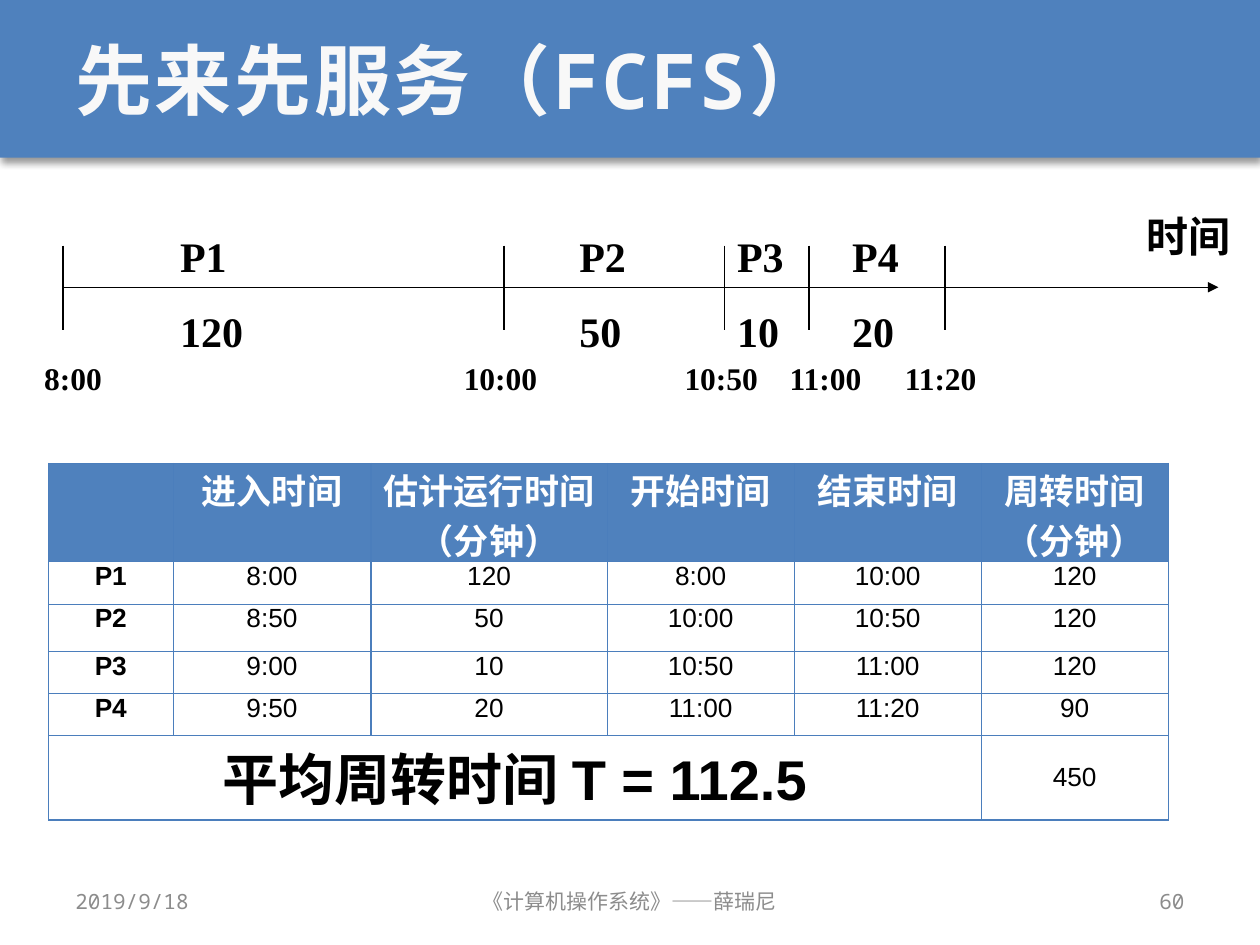
from lxml import etree
from pptx import Presentation
from pptx.dml.color import RGBColor
from pptx.enum.shapes import MSO_CONNECTOR, MSO_SHAPE
from pptx.enum.text import MSO_ANCHOR, PP_ALIGN
from pptx.oxml import parse_xml
from pptx.oxml.ns import nsdecls, qn
from pptx.util import Cm, Pt

BLUE = RGBColor(0x4F, 0x81, 0xBD)
BORDER = RGBColor(0x4B, 0x7E, 0xBC)
BLACK = RGBColor(0, 0, 0)
WHITE = RGBColor(0xFF, 0xFF, 0xFF)
TITLE_WHITE = RGBColor(0xF8, 0xF8, 0xF8)
GRAY = RGBColor(0x8C, 0x8C, 0x8C)
MONO, SERIF, SANS = "Noto Sans Mono", "Times New Roman", "Arial"

SLIDE_WIDTH, BANNER_HEIGHT = 25.4, 3.18
AXIS_Y, TICK_TOP, TICK_BOTTOM = 5.79, 4.95, 6.65
AXIS_START, AXIS_END = 1.27, 24.56
TICKS = [AXIS_START, 10.16, 14.61, 16.31, 19.05]
# Text and left edge of each time label
TIME_LABELS = [("8:00", 0.64), ("10:00", 9.1), ("10:50", 13.55),
               ("11:00", 15.67), ("11:20", 17.99)]
# Process, run time in minutes, left edge
PROCESSES = [("P1", "120", 3.38), ("P2", "50", 11.43),
             ("P3", "10", 14.61), ("P4", "20", 16.93)]

COLUMN_WIDTHS = [2.51, 3.99, 4.76, 3.77, 3.77, 3.77]
ROW_HEIGHTS = [1.98, 0.86, 0.95, 0.85, 0.85, 1.7]
ROWS = [
    ["", "进入时间", "估计运行时间\n（分钟）", "开始时间", "结束时间", "周转时间\n（分钟）"],
    ["P1", "8:00", "120", "8:00", "10:00", "120"],
    ["P2", "8:50", "50", "10:00", "10:50", "120"],
    ["P3", "9:00", "10", "10:50", "11:00", "120"],
    ["P4", "9:50", "20", "11:00", "11:20", "90"],
]


def write_text(frame, text, name, size, color, bold=False,
               align=PP_ALIGN.LEFT, gap=0):
    """Fill a text frame, one paragraph a line, with gap points between them."""
    frame.text = text
    for index, paragraph in enumerate(frame.paragraphs):
        paragraph.alignment = align
        if index and gap:
            paragraph.space_before = Pt(gap)
        font = paragraph.font
        font.name, font.size, font.bold = name, Pt(size), bold
        font.color.rgb = color


def add_text(slide, text, left, top, width, height, name, size, color,
             anchor=MSO_ANCHOR.TOP, **style):
    box = slide.shapes.add_textbox(Cm(left), Cm(top), Cm(width), Cm(height))
    frame = box.text_frame
    frame.word_wrap = True
    frame.vertical_anchor = anchor
    write_text(frame, text, name, size, color, **style)
    return box


def add_line(slide, x1, y1, x2, y2, arrow=False):
    line = slide.shapes.add_connector(
        MSO_CONNECTOR.STRAIGHT, Cm(x1), Cm(y1), Cm(x2), Cm(y2))
    line.line.color.rgb = BLACK
    line.line.width = Pt(0.75)
    if arrow:
        etree.SubElement(line.line._get_or_add_ln(), qn("a:tailEnd"), type="triangle")
    etree.SubElement(line._element.spPr, qn("a:effectLst"))


def add_banner(slide):
    banner = slide.shapes.add_shape(
        MSO_SHAPE.RECTANGLE, 0, 0, Cm(SLIDE_WIDTH), Cm(BANNER_HEIGHT))
    banner.fill.solid()
    banner.fill.fore_color.rgb = BLUE
    banner.line.fill.background()
    banner.shadow.inherit = False
    banner._element.spPr.find(qn("a:effectLst")).append(parse_xml(
        f'<a:outerShdw {nsdecls("a")} blurRad="{Pt(4)}" dist="{Pt(3)}" '
        'dir="5400000" rotWithShape="0"><a:srgbClr val="000000">'
        '<a:alpha val="40000"/></a:srgbClr></a:outerShdw>'))
    title = add_text(slide, "先来先服务（FCFS）", 1.27, 0, 22.86, BANNER_HEIGHT,
                     MONO, 44, TITLE_WHITE, MSO_ANCHOR.MIDDLE, bold=True)
    run = title.text_frame.paragraphs[0].runs[0]
    run.font._element.set("spc", "150")


def add_timeline(slide):
    add_line(slide, AXIS_START, AXIS_Y, AXIS_END, AXIS_Y, arrow=True)
    for x in TICKS:
        add_line(slide, x, TICK_TOP, x, TICK_BOTTOM)
    add_text(slide, "时间", 22.86, 4.11, 2.54, 1.27, SERIF, 24, BLACK, bold=True)
    for process, minutes, left in PROCESSES:
        add_text(slide, f"{process}\n{minutes}", left, 4.52, 2.2, 2.8,
                 SERIF, 24, BLACK, bold=True, gap=14)
    for time, left in TIME_LABELS:
        add_text(slide, time, left, 7.11, 2.2, 1.02, SERIF, 18, BLACK, bold=True)


def style_cell(cell, fill):
    cell.margin_left = cell.margin_right = Cm(0.18)
    cell.margin_top = cell.margin_bottom = 0
    properties = cell._tc.get_or_add_tcPr()
    for side in ("lnL", "lnR", "lnT", "lnB"):
        properties.append(parse_xml(
            f'<a:{side} {nsdecls("a")} w="{Pt(0.75)}"><a:solidFill>'
            f'<a:srgbClr val="{BORDER}"/></a:solidFill></a:{side}>'))
    cell.fill.solid()
    cell.fill.fore_color.rgb = fill


def add_schedule_table(slide):
    table = slide.shapes.add_table(
        len(ROW_HEIGHTS), len(COLUMN_WIDTHS), Cm(0.98), Cm(9.34),
        Cm(sum(COLUMN_WIDTHS)), Cm(sum(ROW_HEIGHTS))).table
    for column, width in zip(table.columns, COLUMN_WIDTHS):
        column.width = Cm(width)
    for row, height in zip(table.rows, ROW_HEIGHTS):
        row.height = Cm(height)
    for index, row in enumerate(table.rows):
        for cell in row.cells:
            style_cell(cell, WHITE if index else BLUE)

    for row, texts in enumerate(ROWS):
        size, color = (15, BLACK) if row else (20, WHITE)
        for column, text in enumerate(texts):
            write_text(table.cell(row, column).text_frame, text, SANS, size, color,
                       bold=row == 0 or column == 0, align=PP_ALIGN.CENTER)

    last = len(ROWS)
    average, total = table.cell(last, 0), table.cell(last, 5)
    average.merge(table.cell(last, 4))
    write_text(average.text_frame, "平均周转时间 T = 112.5", SANS, 32, BLACK,
               bold=True, align=PP_ALIGN.CENTER)
    write_text(total.text_frame, "450", SANS, 15, BLACK, align=PP_ALIGN.CENTER)
    total.vertical_anchor = MSO_ANCHOR.MIDDLE


def add_footer(slide):
    for text, left, width, align in (
            ("2019/9/18", 1.27, 5.93, PP_ALIGN.LEFT),
            ("《计算机操作系统》——薛瑞尼", 8.68, 8.04, PP_ALIGN.CENTER),
            ("60", 18.2, 5.93, PP_ALIGN.RIGHT)):
        add_text(slide, text, left, 17.66, width, 1.01, MONO, 12, GRAY,
                 MSO_ANCHOR.MIDDLE, align=align)


def main():
    presentation = Presentation()
    presentation.slide_width, presentation.slide_height = Cm(SLIDE_WIDTH), Cm(19.05)
    slide = presentation.slides.add_slide(presentation.slide_layouts[6])
    add_banner(slide)
    add_timeline(slide)
    add_schedule_table(slide)
    add_footer(slide)
    presentation.save("out.pptx")


if __name__ == "__main__":
    main()
